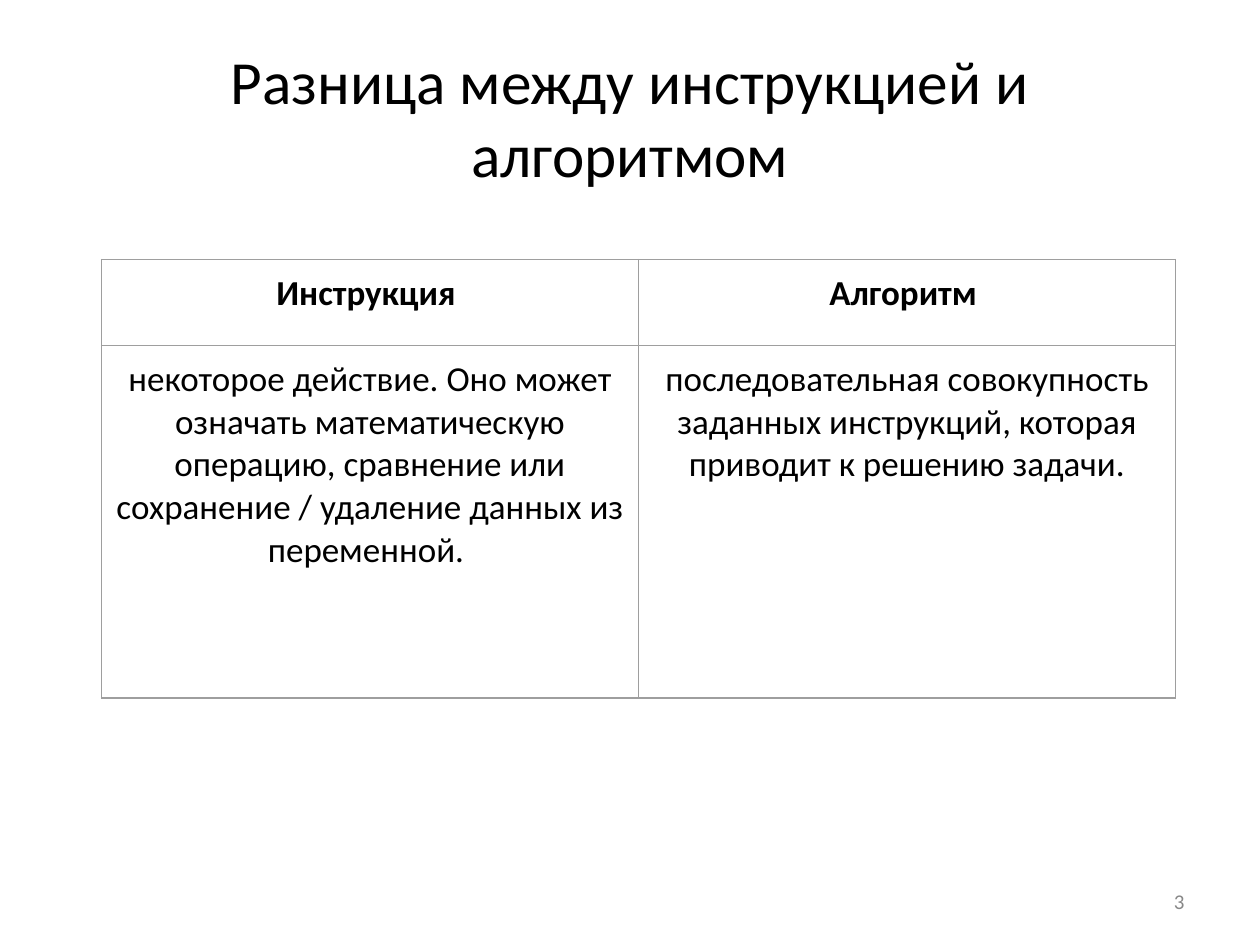
from lxml import etree
from pptx import Presentation
from pptx import util as u
from pptx.dml import color
from pptx.enum import text
from pptx.oxml import ns

Pt = u.Pt
ALIGN = text.PP_ALIGN


def rgb(value):
    return color.RGBColor.from_string(value)


class Deck:
    font = "Calibri"
    ink = "000000"
    muted = "888888"
    border = "9E9E9E"

    def __init__(self, width, height):
        self.prs = Presentation()
        self.prs.slide_width, self.prs.slide_height = Pt(width), Pt(height)
        self.slide = self.prs.slides.add_slide(self.prs.slide_layouts[5])

    def add_text(self, tf, content, size, align=ALIGN.CENTER, fill=ink, bold=False):
        tf.word_wrap = True
        p = tf.paragraphs[0]
        p.alignment = align
        r = p.add_run()
        r.text = content
        r.font.name, r.font.size, r.font.bold = self.font, Pt(size), bold
        r.font.color.rgb = rgb(fill)

    def title(self, content, x, y, w, h, size):
        sp = self.slide.shapes.title
        sp.left, sp.top, sp.width, sp.height = map(Pt, (x, y, w, h))
        tf = sp.text_frame
        tf.auto_size = text.MSO_AUTO_SIZE.NONE
        tf.vertical_anchor = text.MSO_ANCHOR.MIDDLE
        self.add_text(tf, content, size)

    def label(self, content, x, y, w, h, size):
        tf = self.slide.shapes.add_textbox(*map(Pt, (x, y, w, h))).text_frame
        tf.vertical_anchor = text.MSO_ANCHOR.MIDDLE
        self.add_text(tf, content, size, ALIGN.RIGHT, self.muted)

    def outline(self, cell):
        props = cell._tc.get_or_add_tcPr()
        for side in ("lnL", "lnR", "lnT", "lnB"):
            line = etree.SubElement(props, ns.qn("a:" + side), w=str(Pt(0.75)))
            fill = etree.SubElement(line, ns.qn("a:solidFill"))
            etree.SubElement(fill, ns.qn("a:srgbClr"), val=self.border)

    def table(self, rows, x, y, col_width, heights, size, margin):
        cols = len(rows[0])
        frame = self.slide.shapes.add_table(
            len(rows), cols, Pt(x), Pt(y), Pt(col_width * cols), Pt(sum(heights)))
        table = frame.table
        table.first_row = table.horz_banding = False
        for col in table.columns:
            col.width = Pt(col_width)
        for i, (row, height) in enumerate(zip(rows, heights)):
            table.rows[i].height = Pt(height)
            for j, content in enumerate(row):
                cell = table.cell(i, j)
                cell.margin_left = cell.margin_right = Pt(margin)
                cell.margin_top = cell.margin_bottom = Pt(margin)
                self.outline(cell)
                cell.fill.background()
                self.add_text(cell.text_frame, content, size, bold=i == 0)


deck = Deck(720, 540)
deck.title("Разница между инструкцией и алгоритмом", 36, 21.6, 648, 90, 35)
deck.table(
    [
        ("Инструкция ", "Алгоритм "),
        (
            "некоторое действие. Оно может означать математическую операцию, "
            "сравнение или сохранение / удаление данных из переменной. ",
            "последовательная совокупность заданных инструкций, "
            "которая приводит к решению задачи.",
        ),
    ],
    58, 148.3, 306.9, (49, 201.6), 20, 7.2)
deck.label("3", 516, 500.5, 168, 28.8, 12)
deck.prs.save("out.pptx")
